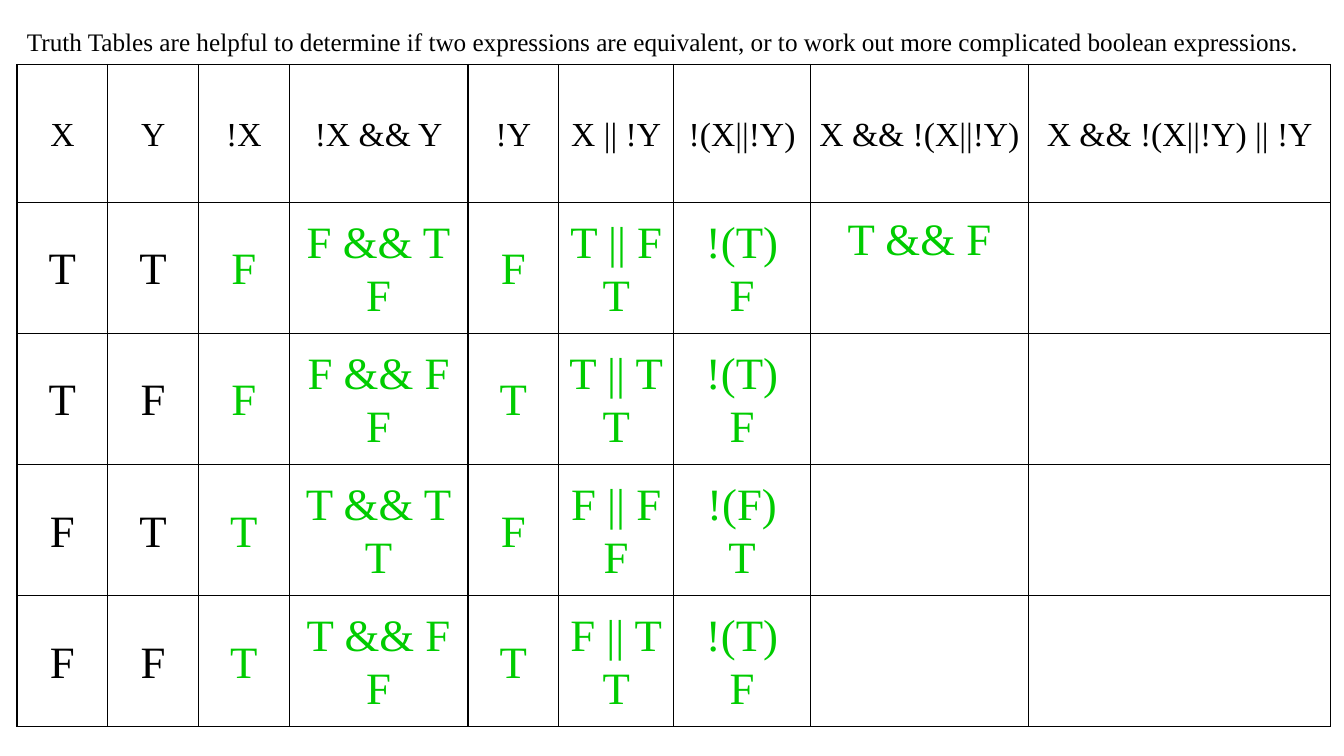
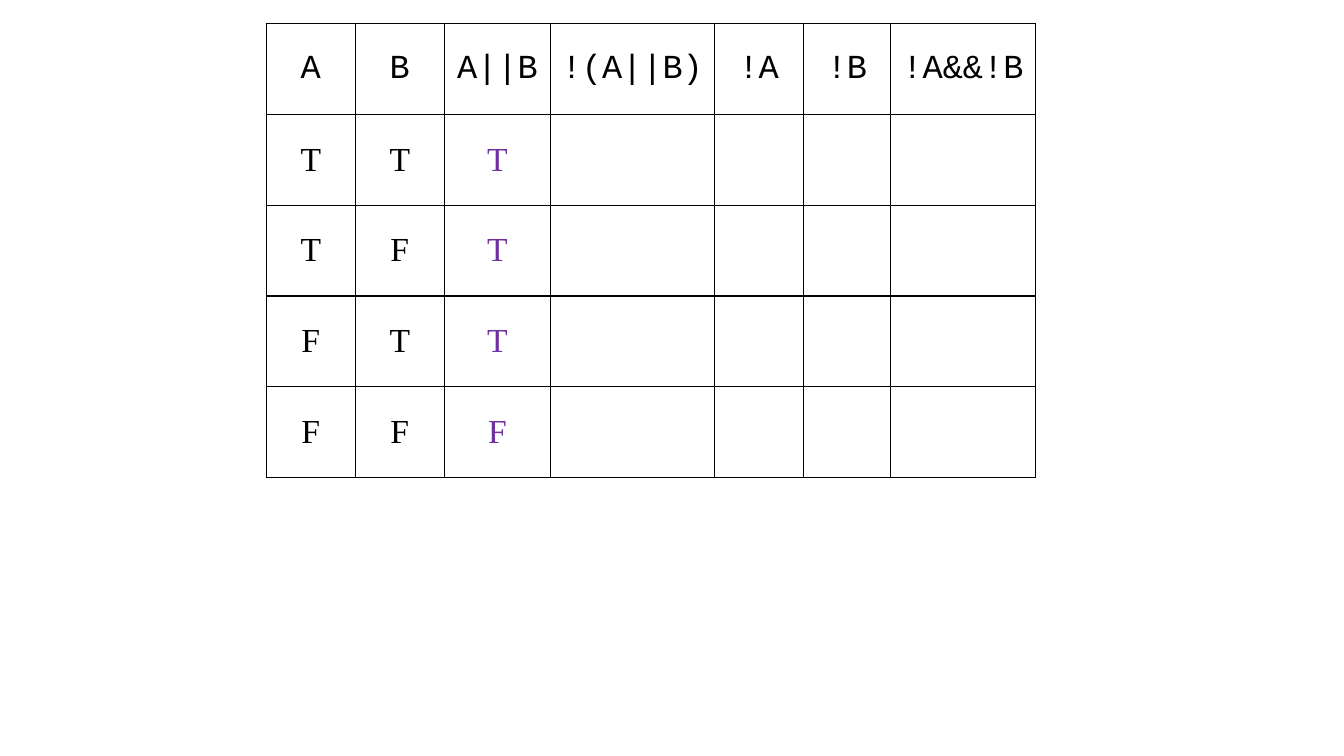
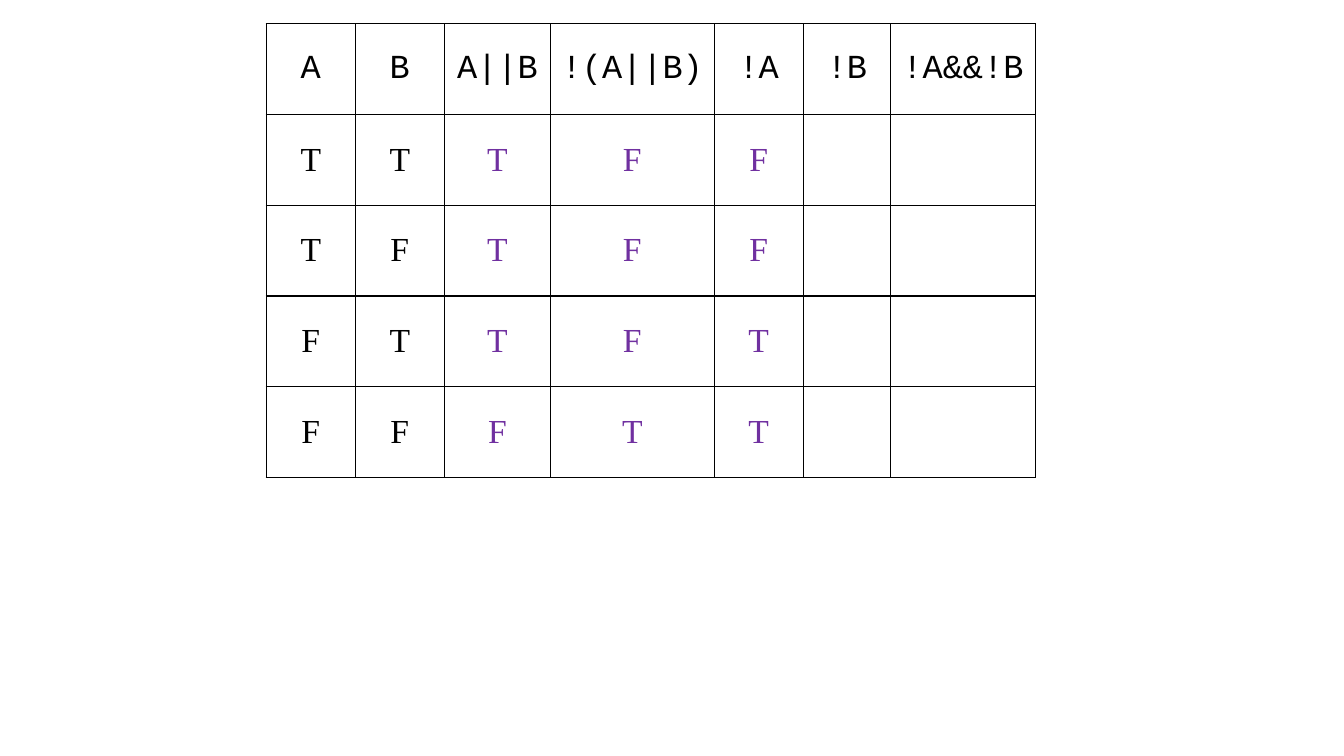
from dataclasses import dataclass

from lxml import etree
from pptx import Presentation
from pptx.dml.color import RGBColor
from pptx.enum.text import MSO_ANCHOR, PP_ALIGN
from pptx.oxml.ns import qn
from pptx.util import Pt

MIDDLE = MSO_ANCHOR.MIDDLE
CENTER = PP_ALIGN.CENTER
GIVEN_COLUMNS = 2


@dataclass(frozen=True)
class Theme:
    ink: str = "000000"
    green: str = "00CC00"
    purple: str = "7030A0"
    serif: str = "Times New Roman"
    mono: str = "Courier New"
    note_size: int = 18
    head_size: int = 24
    large_size: int = 32
    border: float = 1
    side_margin: float = 5


@dataclass(frozen=True)
class TableLook:
    head_font: str
    body_size: int
    answer_color: str
    line_spacing: float


THEME = Theme()
WORKED = TableLook(THEME.serif, THEME.large_size, THEME.green, 1.07)
EXERCISE = TableLook(THEME.mono, THEME.head_size, THEME.purple, 1.0)

# Worked example: two given values, then the steps of each row
INTRO = ("Truth Tables are helpful to determine if two expressions are equivalent, "
         "or to work out more complicated boolean expressions.")
WORKED_BOX = (12.2, 46.1)
WORKED_WIDTHS = (64.8, 64.8, 64.8, 127.7, 64.8, 82.2, 97.7, 155.7, 216)
WORKED_HEIGHTS = (98.6, 93.6, 93.6, 93.6, 93.6)
WORKED_ROWS = (
    ("X", "Y", "!X", "!X && Y", "!Y", "X || !Y", "!(X||!Y)",
     "X && !(X||!Y)", "X && !(X||!Y) || !Y"),
    ("T", "T", "F", "F && T\nF", "F", "T || F\nT", "!(T)\nF", "T && F", ""),
    ("T", "F", "F", "F && F\nF", "T", "T || T\nT", "!(T)\nF", "", ""),
    ("F", "T", "T", "T && T\nT", "F", "F || F\nF", "!(F)\nT", "", ""),
    ("F", "F", "T", "T && F\nF", "T", "F || T\nT", "!(T)\nF", "", ""),
)
OPEN_STEP = (1, 7)  # row and column of the step whose result is still open
OPEN_STEP_SPACE = 41.4

# Exercise: shown with some of its columns filled in
EXERCISE_BOX = (190.2, 17)
EXERCISE_WIDTHS = (63.6, 63.6, 75.8, 117, 63.6, 62.4, 103.4)
EXERCISE_HEIGHTS = (64.8,) * 5
EXERCISE_HEADS = ("A", "B", "A||B", "!(A||B)", "!A", "!B", "!A&&!B")
EXERCISE_VALUES = ("TTTFF", "TFTFF", "FTTFT", "FFFTT")


def style_paragraph(para, font, size, color, spacing):
    para.line_spacing = spacing
    para.font.name = font
    para.font.size = Pt(size)
    para.font.color.rgb = RGBColor.from_string(color)


def add_borders(cell):
    properties = cell._tc.get_or_add_tcPr()
    for side in ("a:lnL", "a:lnR", "a:lnT", "a:lnB"):
        line = etree.SubElement(properties, qn(side), w=str(Pt(THEME.border)))
        fill = etree.SubElement(line, qn("a:solidFill"))
        etree.SubElement(fill, qn("a:srgbClr"), val=THEME.ink)


def fill_cell(cell, text, font, size, color, spacing):
    add_borders(cell)
    cell.fill.background()
    cell.vertical_anchor = MIDDLE
    cell.margin_left = cell.margin_right = Pt(THEME.side_margin)
    cell.margin_top = cell.margin_bottom = 0
    cell.text_frame.text = text
    for para in cell.text_frame.paragraphs:
        para.alignment = CENTER
        style_paragraph(para, font, size, color, spacing)


def add_truth_table(page, box, widths, heights, rows, look):
    left, top = box
    frame = page.shapes.add_table(len(heights), len(widths), Pt(left), Pt(top),
                                  Pt(sum(widths)), Pt(sum(heights)))
    table = frame.table
    table.first_row = table.horz_banding = False
    for column, width in zip(table.columns, widths):
        column.width = Pt(width)
    for row, height in zip(table.rows, heights):
        row.height = Pt(height)

    for r, texts in enumerate(rows):
        for c, text in enumerate(texts):
            is_head = r == 0
            is_given = is_head or c < GIVEN_COLUMNS
            fill_cell(table.cell(r, c), text,
                      look.head_font if is_head else THEME.serif,
                      THEME.head_size if is_head else look.body_size,
                      THEME.ink if is_given else look.answer_color,
                      look.line_spacing)
    return table


def add_intro(page, left, top, width, height):
    box = page.shapes.add_textbox(Pt(left), Pt(top), Pt(width), Pt(height))
    box.text_frame.word_wrap = True
    box.text_frame.text = INTRO
    style_paragraph(box.text_frame.paragraphs[0], THEME.serif, THEME.note_size,
                    THEME.ink, WORKED.line_spacing)


def build_worked_slide(page):
    add_intro(page, 12.2, 13.7, 936, 29.5)
    table = add_truth_table(page, WORKED_BOX, WORKED_WIDTHS, WORKED_HEIGHTS,
                            WORKED_ROWS, WORKED)
    # Leave room for the result under the open step
    table.cell(*OPEN_STEP).margin_bottom = Pt(OPEN_STEP_SPACE)


def build_exercise_slide(page, filled_columns):
    rows = [EXERCISE_HEADS]
    for values in EXERCISE_VALUES:
        rows.append(values[:filled_columns].ljust(len(EXERCISE_HEADS)).replace(" ", "-"))
    rows[1:] = [["" if value == "-" else value for value in row] for row in rows[1:]]
    add_truth_table(page, EXERCISE_BOX, EXERCISE_WIDTHS, EXERCISE_HEIGHTS,
                    rows, EXERCISE)


def main():
    deck = Presentation()
    deck.slide_width, deck.slide_height = Pt(960), Pt(540)
    blank = deck.slide_layouts[6]
    build_worked_slide(deck.slides.add_slide(blank))
    for filled_columns in (3, 5):
        build_exercise_slide(deck.slides.add_slide(blank), filled_columns)
    deck.save("out.pptx")


if __name__ == "__main__":
    main()
